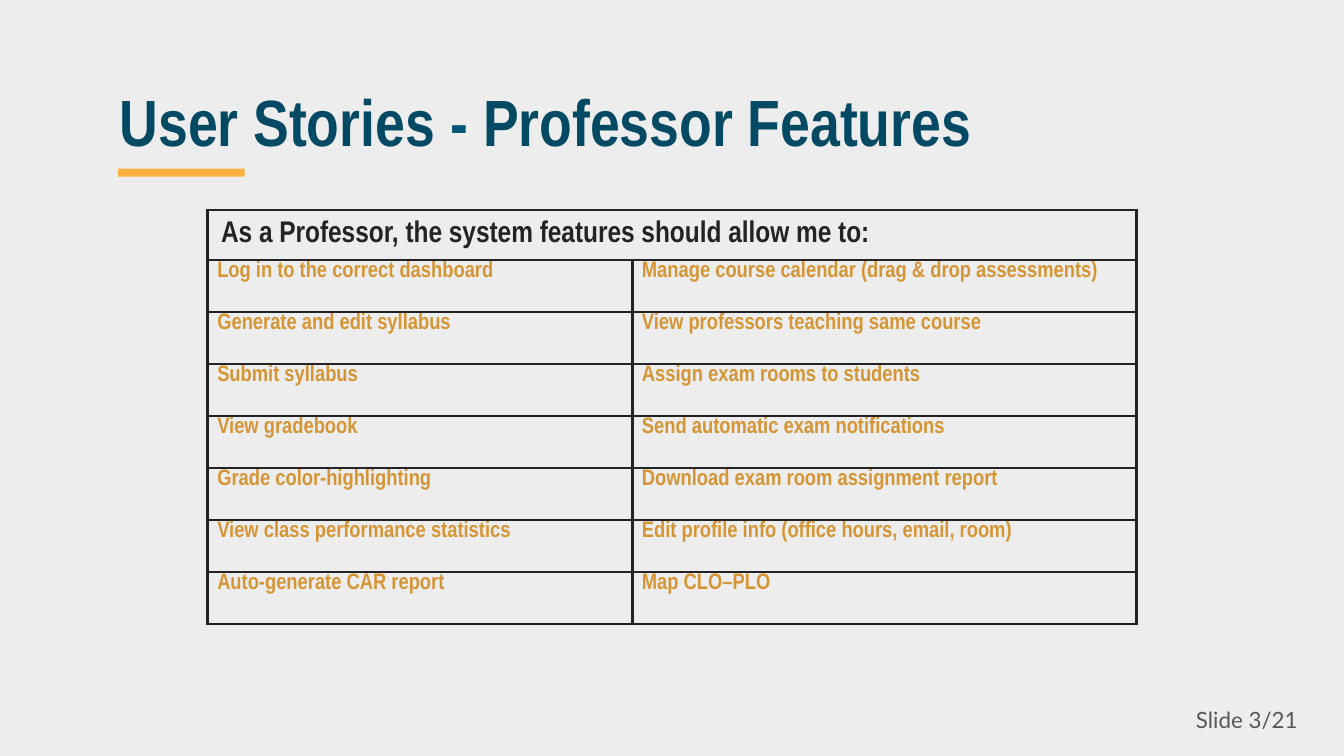
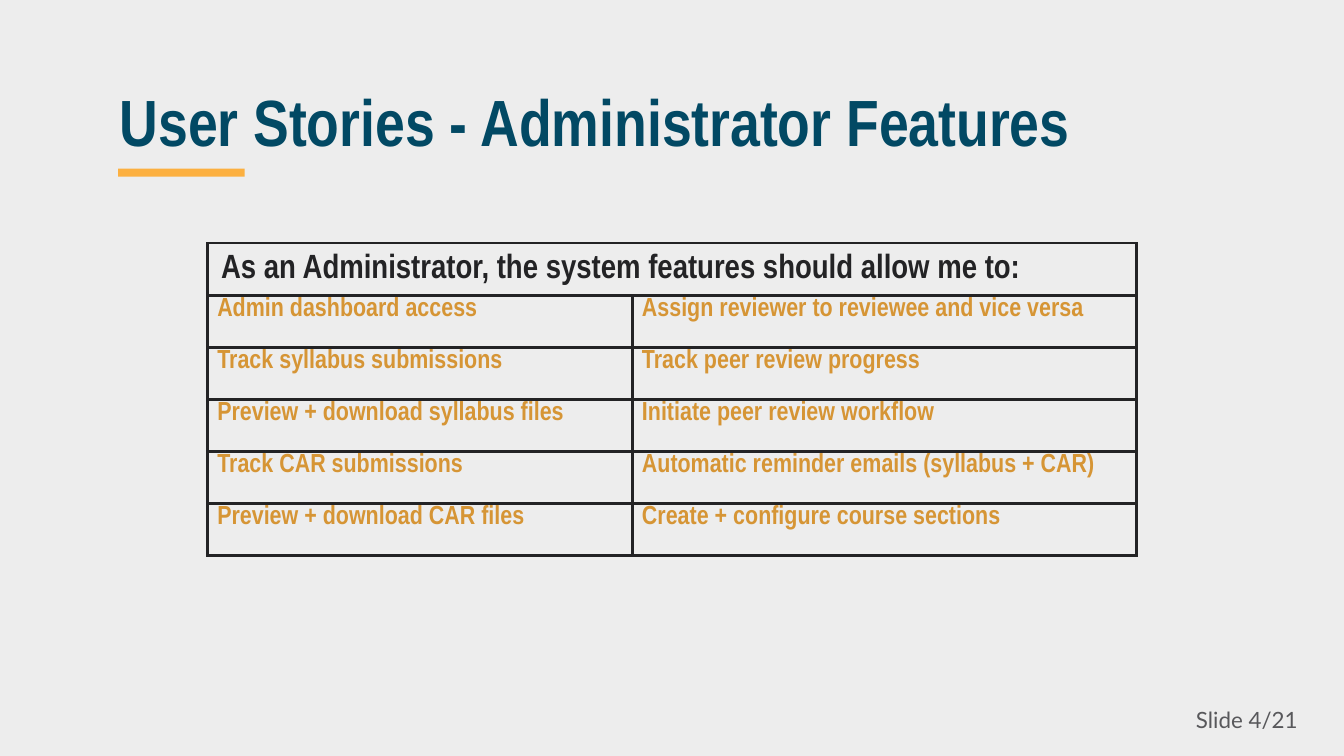
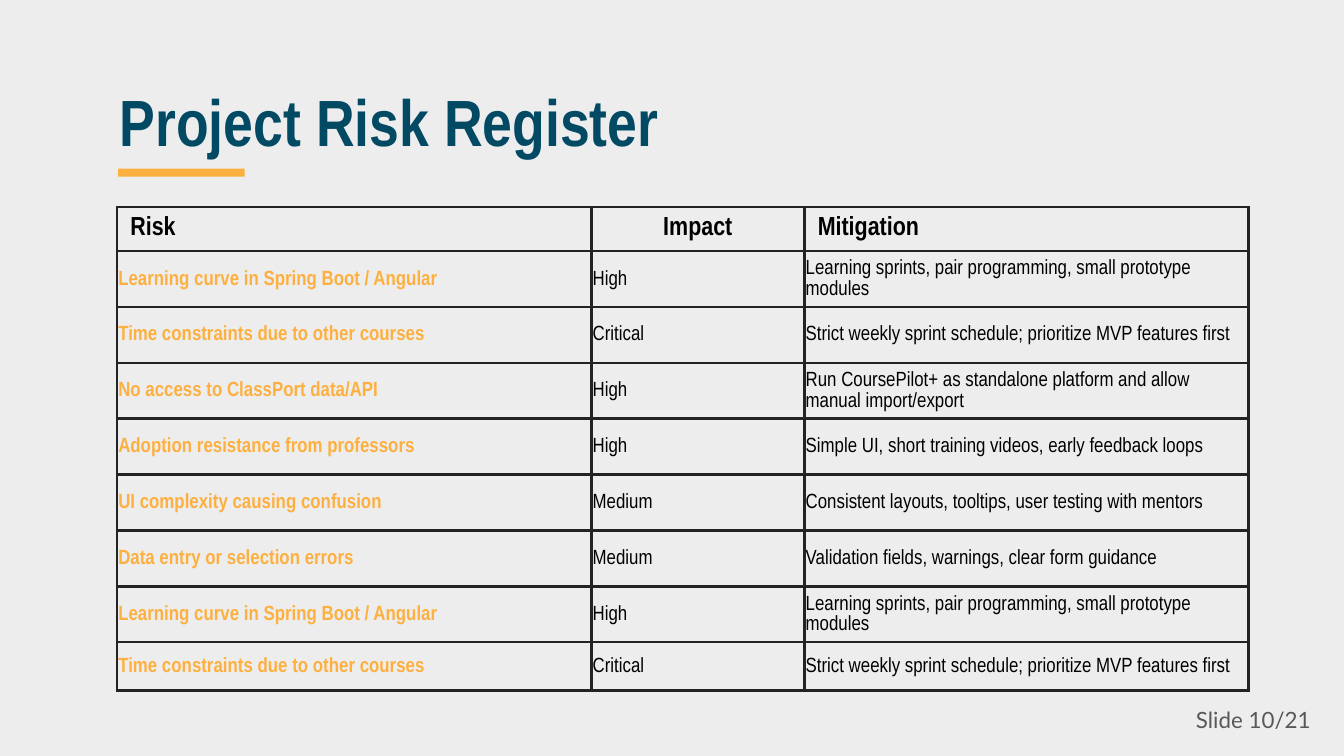
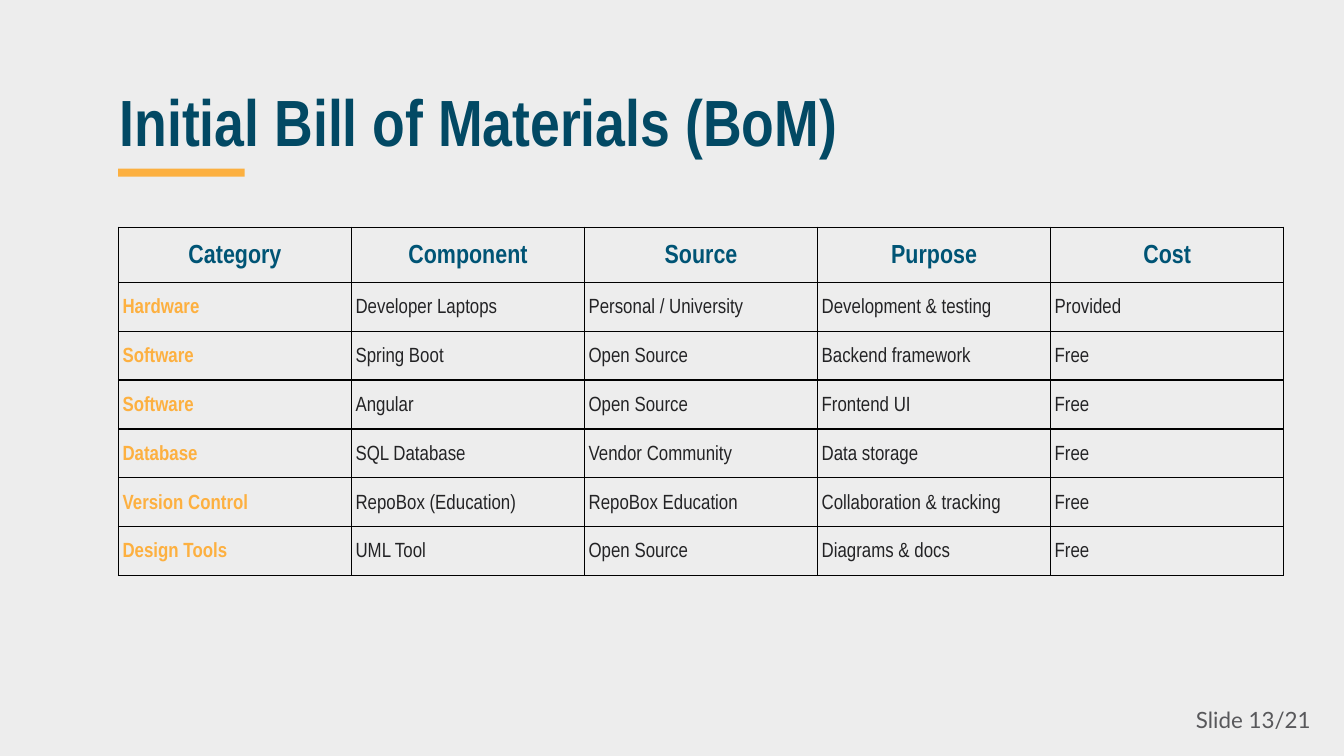
from pptx import Presentation, util as u
from pptx.dml.color import RGBColor
from pptx.enum import shapes, text
from pptx.oxml import parse_xml
from pptx.oxml.ns import nsdecls

C = {
    "paper": "EDEDED", "title": "024964", "teal": "005475", "bar": "FCB040",
    "footer": "58585B", "ink": "232325", "ochre": "D69535", "amber": "FDB040",
    "black": "000000",
}
FONT = "Arial Narrow"
TOTAL = 21

prs = Presentation()
prs.slide_width, prs.slide_height = u.Inches(10), u.Inches(5.625)
col, row = prs.slide_width / 100, prs.slide_height / 56.25
fill = prs.slide_master.background.fill
fill.solid()
fill.fore_color.rgb = RGBColor.from_string(C["paper"])


def box(x, y, w, h):
    return [round(v) for v in (x * col, y * row, w * col, h * row)]


def add_run(p, words, size, color, bold=False, font=FONT):
    r = p.add_run()
    r.text = words
    r.font.size, r.font.bold, r.font.name = u.Pt(size), bold, font
    r.font.color.rgb = RGBColor.from_string(C[color])


stories = {
    "left": 15.45, "cols": [31.6, 37.5], "border": ("ink", 1.5), "fill": "paper",
    "head_color": "ink", "head_pad": (1, 0.45, 0.45), "head_spacing": None,
    "head_anchor": text.MSO_ANCHOR.MIDDLE, "centered": [],
    "pad": (0.72, 0, 0), "spacing": 1.07, "anchor": text.MSO_ANCHOR.TOP,
    "lead": "ochre", "lead_cols": 2, "body": "ink",
}
risks = stories | {
    "left": 8.7, "cols": [35.3, 15.85, 33.05], "head_color": "black", "centered": [1],
    "pad": (0.1, 0.1, 0.1), "anchor": text.MSO_ANCHOR.MIDDLE,
    "lead": "amber", "lead_cols": 1, "body": "black",
}
materials = risks | {
    "left": 8.82, "cols": [17.34] * 5, "border": ("black", 0.75), "fill": None,
    "head_color": "teal", "head_pad": (0.3, 0.4, 1), "head_spacing": 1.15,
    "head_anchor": text.MSO_ANCHOR.BOTTOM, "centered": range(5),
    "pad": (0.3, 0.53, 1), "spacing": 1.15, "anchor": text.MSO_ANCHOR.BOTTOM, "body": "ink",
}

slides = [
    {
        "number": 3,
        "title": [("User Stories ", "title"), ("- ", "teal"), ("Professor Features", "title")],
        "style": stories, "top": 15.62, "sizes": (16, 12),
        "rows": [3.74] + [3.87] * 7,
        "cells": [
            ["As a Professor, the system features should allow me to:"],
            ["Log in to the correct dashboard", "Manage course calendar (drag & drop assessments)"],
            ["Generate and edit syllabus", "View professors teaching same course"],
            ["Submit syllabus", "Assign exam rooms to students"],
            ["View gradebook", "Send automatic exam notifications"],
            ["Grade color-highlighting", "Download exam room assignment report"],
            ["View class performance statistics", "Edit profile info (office hours, email, room)"],
            ["Auto-generate CAR report", "Map CLO–PLO"],
        ],
    },
    {
        "number": 4,
        "title": [("User Stories - Administrator Features", "title")],
        "style": stories, "top": 18.1, "sizes": (18, 14),
        "rows": [3.87] * 6,
        "cells": [
            ["As an Administrator, the system features should allow me to:"],
            ["Admin dashboard access", "Assign reviewer to reviewee and vice versa"],
            ["Track syllabus submissions", "Track peer review progress"],
            ["Preview + download syllabus files", "Initiate peer review workflow"],
            ["Track CAR submissions", "Automatic reminder emails (syllabus + CAR)"],
            ["Preview + download CAR files", "Create + configure course sections"],
        ],
    },
    {
        "number": 10,
        "title": [("Project Risk Register", "title")],
        "style": risks, "top": 15.4, "sizes": (14, 11),
        "rows": [3.28] + [4.16] * 7 + [3.6],
        "cells": [
            ["Risk", "Impact", "Mitigation"],
            ["Learning curve in Spring Boot / Angular", "High",
             "Learning sprints, pair programming, small prototype modules"],
            ["Time constraints due to other courses", "Critical",
             "Strict weekly sprint schedule; prioritize MVP features first"],
            ["No access to ClassPort data/API", "High",
             "Run CoursePilot+ as standalone platform and allow manual import/export"],
            ["Adoption resistance from professors", "High",
             "Simple UI, short training videos, early feedback loops"],
            ["UI complexity causing confusion", "Medium",
             "Consistent layouts, tooltips, user testing with mentors"],
            ["Data entry or selection errors", "Medium",
             "Validation fields, warnings, clear form guidance"],
            ["Learning curve in Spring Boot / Angular", "High",
             "Learning sprints, pair programming, small prototype modules"],
            ["Time constraints due to other courses", "Critical",
             "Strict weekly sprint schedule; prioritize MVP features first"],
        ],
    },
    {
        "number": 13,
        "title": [("Initial Bill of Materials (BoM)", "title")],
        "style": materials, "top": 16.9, "sizes": (14, 11),
        "rows": [4.1] + [3.64] * 6,
        "cells": [
            ["Category", "Component", "Source", "Purpose", "Cost"],
            ["Hardware", "Developer Laptops", "Personal / University", "Development & testing", "Provided"],
            ["Software", "Spring Boot", "Open Source", "Backend framework", "Free"],
            ["Software", "Angular", "Open Source", "Frontend UI", "Free"],
            ["Database", "SQL Database", "Vendor Community", "Data storage", "Free"],
            ["Version Control", "RepoBox (Education)", "RepoBox Education", "Collaboration & tracking", "Free"],
            ["Design Tools", "UML Tool", "Open Source", "Diagrams & docs", "Free"],
        ],
    },
]

for page in slides:
    s = prs.slides.add_slide(prs.slide_layouts[5])
    style = page["style"]

    title = s.shapes.title
    title.left, title.top, title.width, title.height = box(7.9, 5.83, 84.3, 6.2)
    tf = title.text_frame
    tf.auto_size, tf.word_wrap = text.MSO_AUTO_SIZE.NONE, True
    tf.vertical_anchor = text.MSO_ANCHOR.MIDDLE
    tf.margin_left = tf.margin_right = tf.margin_top = tf.margin_bottom = round(col)
    p = tf.paragraphs[0]
    p.alignment = text.PP_ALIGN.LEFT
    for words, color in page["title"]:
        add_run(p, words, 35, color, True)

    footer = s.shapes.add_textbox(*box(88, 52.05, 10.8, 3))
    tf = footer.text_frame
    tf.word_wrap = True
    add_run(tf.paragraphs[0], f"Slide {page['number']}/{TOTAL}", 12, "footer", font="Lato")

    bar = s.shapes.add_shape(shapes.MSO_SHAPE.RECTANGLE, *box(8.8, 12.56, 9.4, 0.6))
    bar.shadow.inherit = False
    bar.fill.solid()
    bar.fill.fore_color.rgb = RGBColor.from_string(C["bar"])
    bar.line.fill.background()

    frame = s.shapes.add_table(
        len(page["rows"]), len(style["cols"]),
        *box(style["left"], page["top"], sum(style["cols"]), sum(page["rows"])))
    table = frame.table
    table.first_row = table.horz_banding = False
    for i, width in enumerate(style["cols"]):
        table.columns[i].width = round(width * col)
    for i, height in enumerate(page["rows"]):
        table.rows[i].height = round(height * row)
    if len(page["cells"][0]) == 1:
        table.cell(0, 0).merge(table.cell(0, len(style["cols"]) - 1))

    line_color, line_width = style["border"]
    for i in range(len(page["rows"])):
        part = "head_" if i == 0 else ""
        pad_x, pad_top, pad_bottom = style[part + "pad"]
        for j in range(len(style["cols"])):
            cell = table.cell(i, j)
            cell.margin_left = cell.margin_right = round(pad_x * col)
            cell.margin_top, cell.margin_bottom = round(pad_top * row), round(pad_bottom * row)
            cell.vertical_anchor = style[part + "anchor"]
            if style["fill"]:
                cell.fill.solid()
                cell.fill.fore_color.rgb = RGBColor.from_string(C[style["fill"]])
            else:
                cell.fill.background()
            tcPr = cell._tc.get_or_add_tcPr()
            for k, side in enumerate("LRTB"):
                tcPr.insert(k, parse_xml(
                    f'<a:ln{side} {nsdecls("a")} w="{u.Pt(line_width)}"><a:solidFill>'
                    f'<a:srgbClr val="{C[line_color]}"/></a:solidFill></a:ln{side}>'))
            if cell.is_spanned:
                continue
            p = cell.text_frame.paragraphs[0]
            p.line_spacing = style[part + "spacing"]
            if i == 0 and j in style["centered"]:
                p.alignment = text.PP_ALIGN.CENTER
            lead = j < style["lead_cols"]
            color = style["head_color"] if i == 0 else style["lead" if lead else "body"]
            add_run(p, page["cells"][i][j], page["sizes"][min(i, 1)], color, i == 0 or lead)

prs.save("out.pptx")
